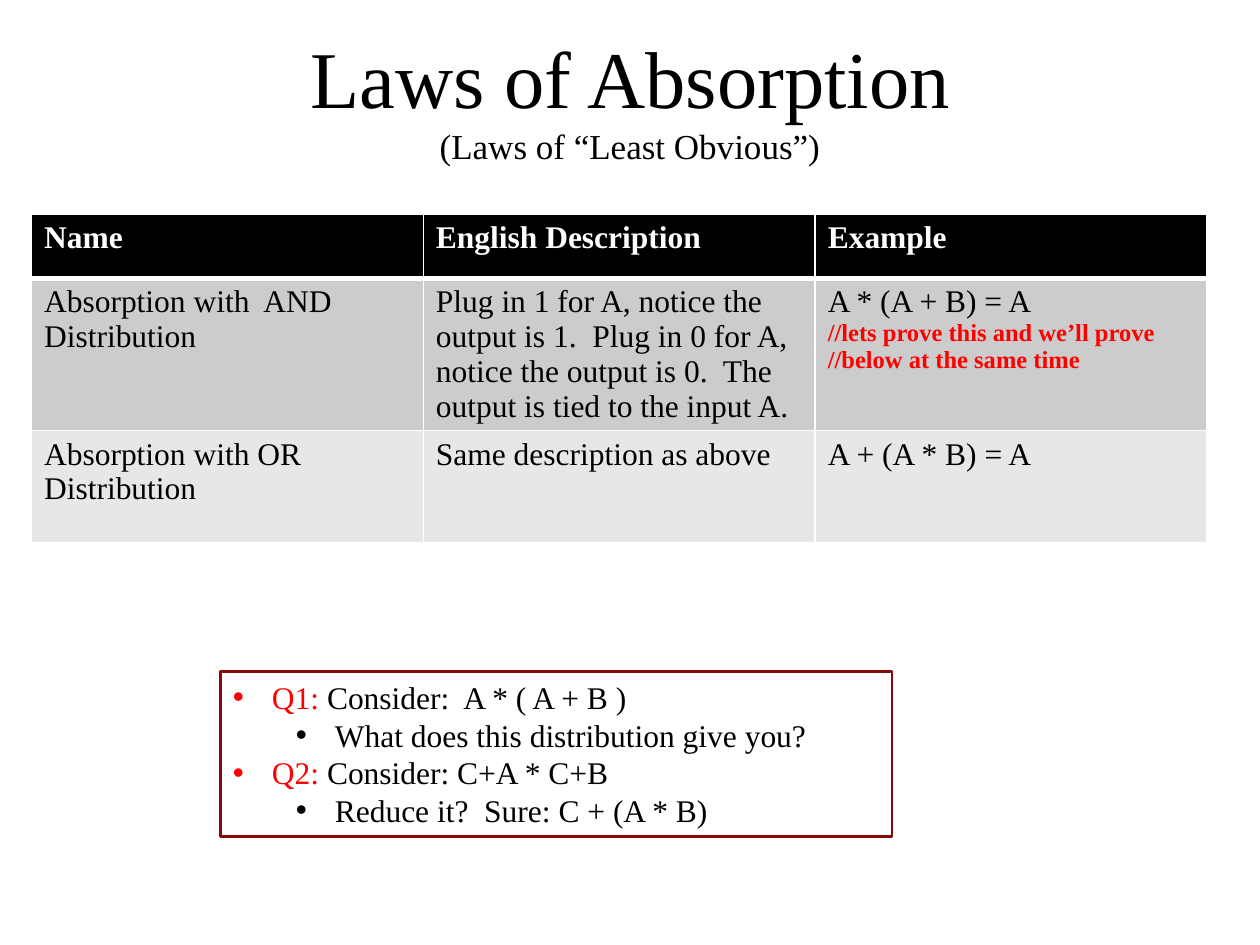
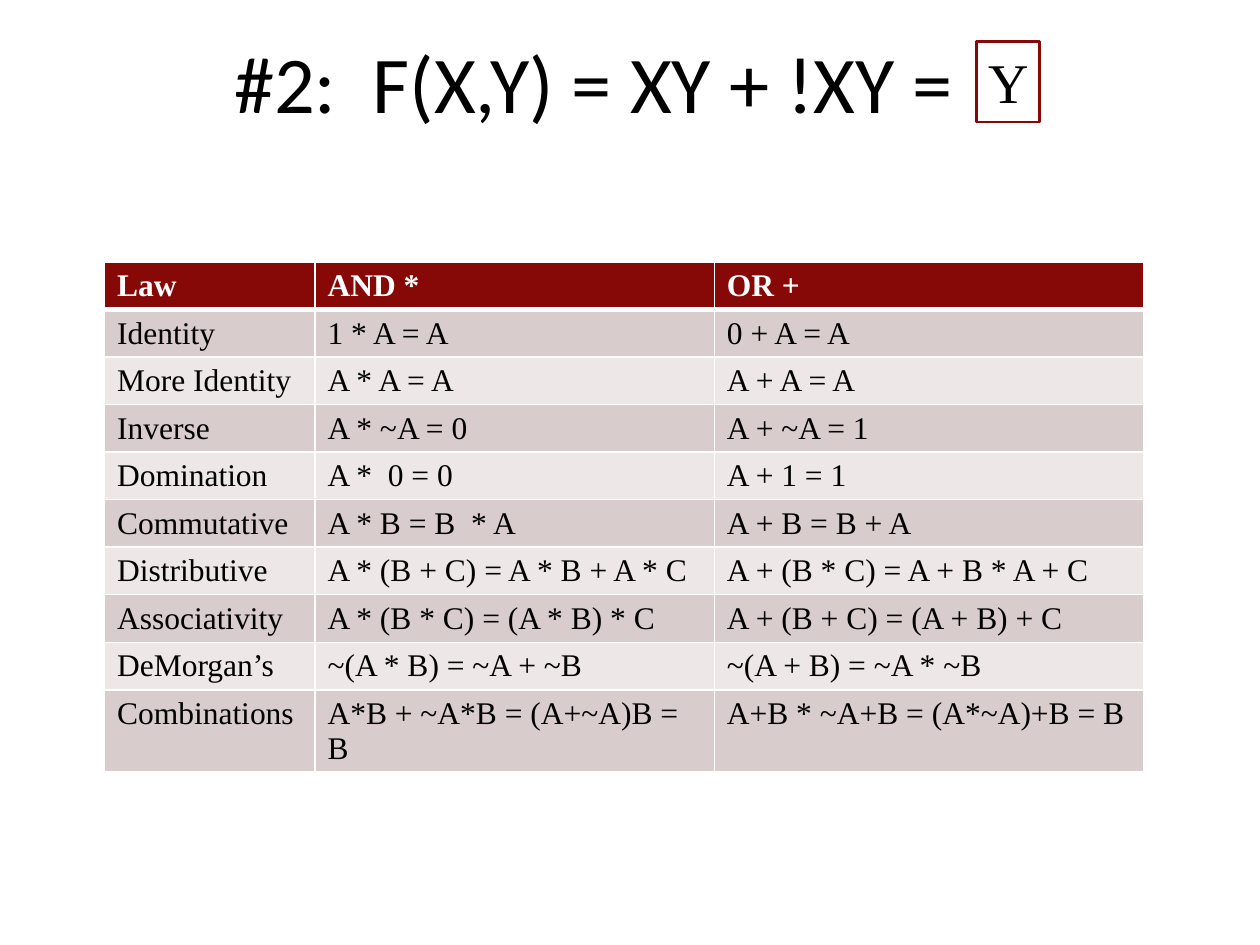
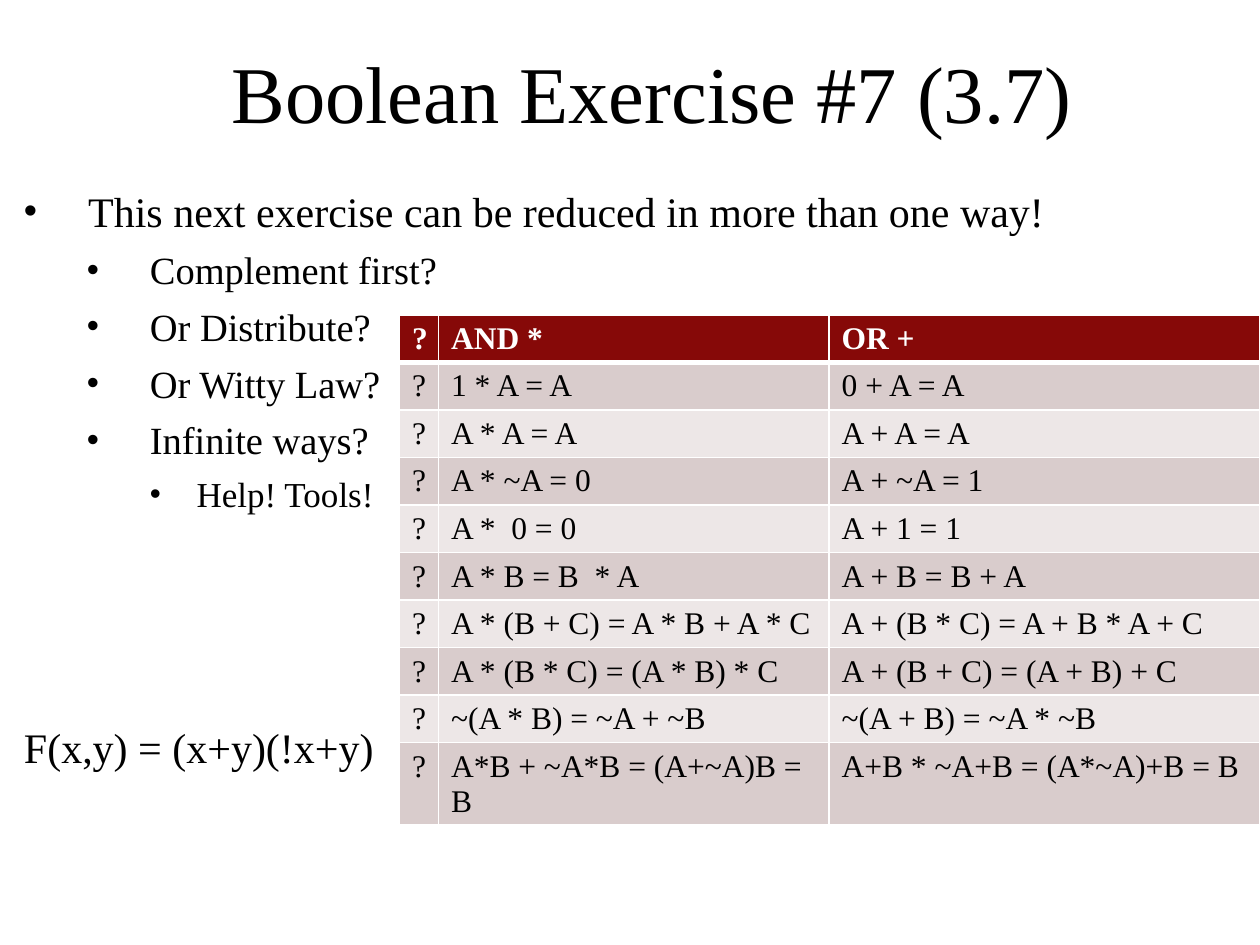
from pptx import Presentation
from pptx.dml.color import RGBColor
from pptx.enum import shapes, text
from pptx.oxml.ns import qn
from pptx.util import Inches, Pt
from lxml import etree

BLACK = RGBColor(0x00, 0x00, 0x00)
WHITE = RGBColor(0xFF, 0xFF, 0xFF)
RED = RGBColor(0xFF, 0x00, 0x00)
MAROON = RGBColor(0x86, 0x09, 0x08)
GRAY_BANDS = (RGBColor(0xCC, 0xCC, 0xCC), RGBColor(0xE7, 0xE7, 0xE7))
ROSE_BANDS = (RGBColor(0xD9, 0xCC, 0xCC), RGBColor(0xED, 0xE7, 0xE7))

SERIF = "Times New Roman"
TITLE_AND_BODY, TITLE_ONLY = 1, 5

LAWS = [
    ("Identity", "1 * A = A", "0 + A = A"),
    ("More Identity", "A * A = A", "A + A = A"),
    ("Inverse", "A * ~A = 0", "A + ~A = 1"),
    ("Domination", "A *  0 = 0", "A + 1 = 1"),
    ("Commutative", "A * B = B  * A", "A + B = B + A"),
    ("Distributive", "A * (B + C) = A * B + A * C", "A + (B * C) = A + B * A + C"),
    ("Associativity", "A * (B * C) = (A * B) * C", "A + (B + C) = (A + B) + C"),
    ("DeMorgan’s", "~(A * B) = ~A + ~B", "~(A + B) = ~A * ~B"),
    ("Combinations", "A*B + ~A*B = (A+~A)B = B", "A+B * ~A+B = (A*~A)+B = B"),
]
LAW_HEIGHTS = [0.37] * len(LAWS) + [0.65]


class Lesson:
    def __init__(self):
        self.deck = Presentation()
        self.deck.slide_width, self.deck.slide_height = Inches(10), Inches(7.5)
        self.page = None

    def add_page(self, layout):
        self.page = self.deck.slides.add_slide(self.deck.slide_layouts[layout])

    def place(self, box, left, top, width, height):
        box.left, box.top = Inches(left), Inches(top)
        box.width, box.height = Inches(width), Inches(height)

    def span(self, para, words, size, color=BLACK, bold=False, font=SERIF):
        run = para.add_run()
        run.text = words
        run.font.name, run.font.size = font, Pt(size)
        run.font.bold, run.font.color.rgb = bold, color

    def paragraphs(self, frame, count):
        """Return count paragraphs of the frame, the existing first one included."""
        return [frame.paragraphs[0]] + [frame.add_paragraph() for _ in range(count - 1)]

    def bullet(self, para, indent, hanging, percent=100):
        """Give the paragraph a hanging bullet, or none when hanging is zero."""
        props = para._p.get_or_add_pPr()
        props.set("marL", str(Inches(indent)))
        props.set("indent", str(-Inches(hanging)))
        if hanging:
            etree.SubElement(props, qn("a:buSzPct"), val=str(percent * 1000))
            etree.SubElement(props, qn("a:buFont"), typeface="Arial")
            etree.SubElement(props, qn("a:buChar"), char="•")
        else:
            etree.SubElement(props, qn("a:buNone"))

    def title(self, words, left, top, font=SERIF, subtitle=None, room=0):
        """Write the title, leaving room at its right for an answer."""
        box = self.page.shapes.title
        self.place(box, left, top, 8, 0.95)
        frame = box.text_frame
        frame.auto_size = text.MSO_AUTO_SIZE.NONE
        frame.vertical_anchor = text.MSO_ANCHOR.MIDDLE
        frame.margin_right = Inches(0.1 + room)
        para = frame.paragraphs[0]
        para.alignment = text.PP_ALIGN.CENTER
        self.span(para, words, 46, font=font)
        if subtitle:
            para.add_line_break()
            self.span(para, subtitle, 20, font=font)

    def body(self, items, left, top, width, height):
        """Fill the body with (words, level, size, space before, indent, hanging)."""
        box = self.page.placeholders[1]
        self.place(box, left, top, width, height)
        box.text_frame.auto_size = text.MSO_AUTO_SIZE.NONE
        paras = self.paragraphs(box.text_frame, len(items))
        for para, (words, level, size, before, indent, hanging) in zip(paras, items):
            para.level, para.space_before = level, Pt(before)
            self.bullet(para, indent, hanging, 90)
            self.span(para, words, size)

    def framed_box(self, left, top, width, height, count=1):
        """Draw a white box with a maroon outline and return its paragraphs."""
        box = self.page.shapes.add_shape(
            shapes.MSO_SHAPE.RECTANGLE,
            Inches(left), Inches(top), Inches(width), Inches(height))
        box.shadow.inherit = False
        box.fill.solid()
        box.fill.fore_color.rgb = WHITE
        box.line.color.rgb, box.line.width = MAROON, Pt(1.5)
        frame = box.text_frame
        frame.word_wrap = True
        frame.auto_size = text.MSO_AUTO_SIZE.SHAPE_TO_FIT_TEXT
        frame.vertical_anchor = text.MSO_ANCHOR.TOP
        paras = self.paragraphs(frame, count)
        for para in paras:
            para.alignment = text.PP_ALIGN.LEFT
        return paras

    def borders(self, cell, top, bottom):
        props = cell._tc.get_or_add_tcPr()
        for side, width in (("L", 1), ("R", 1), ("T", top), ("B", bottom)):
            line = etree.SubElement(props, qn(f"a:ln{side}"), w=str(Pt(width)))
            fill = etree.SubElement(line, qn("a:solidFill"))
            etree.SubElement(fill, qn("a:srgbClr"), val=str(WHITE))

    def table(self, rows, left, top, widths, heights, head, bands):
        grid = self.page.shapes.add_table(
            len(rows), len(widths), Inches(left), Inches(top),
            Inches(sum(widths)), Inches(sum(heights))).table
        for column, width in zip(grid.columns, widths):
            column.width = Inches(width)
        for index, (values, height) in enumerate(zip(rows, heights)):
            grid.rows[index].height = Inches(height)
            is_head = index == 0
            for cell, words in zip(grid.rows[index].cells, values):
                self.borders(cell, 3 if index == 1 else 1, 3 if is_head else 1)
                cell.fill.solid()
                cell.fill.fore_color.rgb = head if is_head else bands[(index - 1) % 2]
                para = cell.text_frame.paragraphs[0]
                self.span(para, words, 18, WHITE if is_head else BLACK, is_head)
        return grid

    def law_table(self, left, top, widths, hide_names=False):
        rows = [("Law", "AND *", "OR +")] + LAWS
        if hide_names:
            rows = [("?", *formulas) for _, *formulas in rows]
        self.table(rows, left, top, widths, LAW_HEIGHTS, MAROON, ROSE_BANDS)


def absorption_page(lesson):
    lesson.add_page(TITLE_ONLY)
    lesson.title("Laws of Absorption", 1, 0.3, subtitle="(Laws of “Least Obvious”)")
    rows = [
        ("Name", "English Description", "Example"),
        ("Absorption with  AND Distribution",
         "Plug in 1 for A, notice the output is 1.  Plug in 0 for A, "
         "notice the output is 0.  The output is tied to the input A.",
         "A * (A + B) = A"),
        ("Absorption with OR Distribution", "Same description as above", "A + (A * B) = A"),
    ]
    grid = lesson.table(rows, 0.25, 1.7, [3.11] * 3, [0.51, 1.2, 0.89], BLACK, GRAY_BANDS)
    remarks = ("//lets prove this and we’ll prove", "//below at the same time")
    example = grid.cell(1, 2).text_frame
    for remark in remarks:
        lesson.span(example.add_paragraph(), remark, 14, RED, True)

    questions = [
        ("Q1:", " Consider:  A * ( A + B )"),
        ("", "What does this distribution give you?"),
        ("Q2:", " Consider: C+A * C+B"),
        ("", "Reduce it?  Sure: C + (A * B)"),
    ]
    paras = lesson.framed_box(1.75, 5.33, 5.33, 1.31, len(questions))
    for para, (label, words) in zip(paras, questions):
        para.level = 0 if label else 1
        lesson.bullet(para, 0.31 + 0.5 * para.level, 0.31)
        if label:
            lesson.span(para, label, 18, RED)
        lesson.span(para, words, 18)


def reduction_page(lesson):
    lesson.add_page(TITLE_ONLY)
    lesson.law_table(0.83, 2.08, [1.67, 3.17, 3.41])
    lesson.title("#2:  F(X,Y) = XY + !XY =", 1, 0.17, font="Calibri", room=0.58)
    answer = lesson.framed_box(7.75, 0.33, 0.5, 0.64)[0]
    lesson.span(answer, "Y", 32)


def exercise_page(lesson):
    lesson.add_page(TITLE_AND_BODY)
    lesson.title("Boolean Exercise #7 (3.7)", 1.17, 0.25)
    hints = ("Complement first?", "Or Distribute?", "Or Witty Law?", "Infinite ways?")
    items = [("This next exercise can be reduced in more than one way!", 0, 24, 20, 0.51, 0.51)]
    items += [(hint, 1, 22, 6, 1, 0.5) for hint in hints]
    items += [
        ("Help! Tools!", 2, 20, 6, 1.37, 0.37),
        ("F(x,y) = (x+y)(!x+y)", 0, 24, 118, 0, 0),
    ]
    lesson.body(items, 0.09, 1.42, 8.41, 4.44)
    lesson.law_table(3.17, 2.5, [0.31, 3.1, 3.42], hide_names=True)


def main():
    lesson = Lesson()
    absorption_page(lesson)
    reduction_page(lesson)
    exercise_page(lesson)
    lesson.deck.save("out.pptx")


if __name__ == "__main__":
    main()
